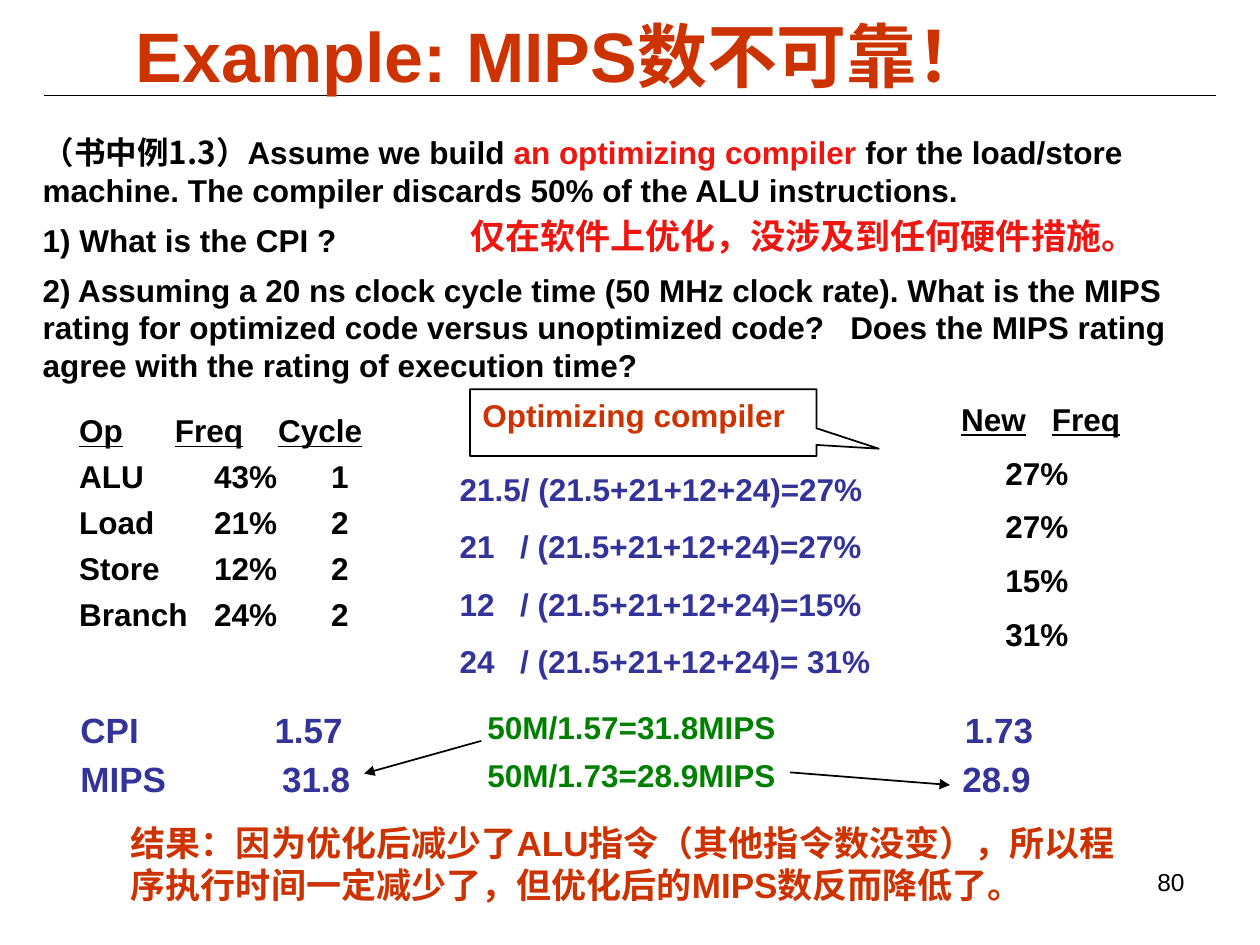
"""Build the slide showing why a MIPS rating is an unreliable measure."""
from dataclasses import dataclass
from typing import Optional

from lxml import etree
from pptx import Presentation
from pptx.dml.color import RGBColor
from pptx.enum import shapes, text
from pptx.oxml import ns
from pptx.util import Emu, Inches, Pt

BLACK = RGBColor(0x00, 0x00, 0x00)
WHITE = RGBColor(0xFF, 0xFF, 0xFF)
RUST = RGBColor(0xCC, 0x33, 0x00)
RED = RGBColor(0xED, 0x16, 0x11)
INDIGO = RGBColor(0x33, 0x33, 0x99)
GREEN = RGBColor(0x00, 0x80, 0x00)
LATIN, CHINESE = "Arial", "Noto Sans CJK SC"
COLUMNS, ROWS = 10, 7.5
LEFT, CENTER, RIGHT = text.PP_ALIGN.LEFT, text.PP_ALIGN.CENTER, text.PP_ALIGN.RIGHT
TOP, MIDDLE = text.MSO_ANCHOR.TOP, text.MSO_ANCHOR.MIDDLE


@dataclass(frozen=True)
class Span:
    """A run of text with its own look."""
    words: str
    color: Optional[RGBColor] = None
    font: str = LATIN
    underline: bool = False


@dataclass(frozen=True)
class Para:
    """A paragraph with tab stops and an indent in grid columns."""
    spans: tuple[Span, ...]
    tabs: tuple[float, ...] = ()
    indent: float = 0


@dataclass(frozen=True)
class Block:
    """A text block placed by column, row, width and height."""
    place: tuple[float, float, float, float]
    paras: tuple[Para, ...]
    size: float = 18
    color: RGBColor = BLACK
    bold: bool = True
    align: text.PP_ALIGN = LEFT
    anchor: text.MSO_ANCHOR = TOP
    before: float = 0
    leading: Optional[float] = None


@dataclass(frozen=True)
class Rule:
    """A straight line between two grid points."""
    start: tuple[float, float]
    end: tuple[float, float]
    width: float = 1
    arrow: bool = True


def plain(words: str, *tabs: float, indent: float = 0) -> Para:
    """Return a paragraph of one span."""
    return Para((Span(words),), tabs, indent)


def header(words: str, *tabs: float) -> Para:
    """Return an underlined column heading."""
    return Para((Span(words, underline=True),), tabs)


def add_tabs(paragraph, stops: tuple[float, ...]) -> None:
    """Give a paragraph left tab stops."""
    tab_list = etree.SubElement(paragraph._p.get_or_add_pPr(), ns.qn("a:tabLst"))
    for stop in stops:
        etree.SubElement(tab_list, ns.qn("a:tab"), pos=str(Inches(stop)), algn="l")


def add_span(paragraph, span: Span, block: Block) -> None:
    """Add one run to a paragraph."""
    run = paragraph.add_run()
    run.text = span.words
    run.font.size = Pt(block.size)
    run.font.bold = block.bold
    run.font.underline = span.underline
    run.font.color.rgb = span.color or block.color
    run.font.name = span.font
    etree.SubElement(run._r.get_or_add_rPr(), ns.qn("a:ea"), typeface=CHINESE)


def fill_text(box, block: Block) -> None:
    """Write the paragraphs of a block into a shape."""
    frame = box.text_frame
    frame.word_wrap = True
    frame.vertical_anchor = block.anchor
    for index, para in enumerate(block.paras):
        paragraph = frame.add_paragraph() if index else frame.paragraphs[0]
        paragraph.alignment = block.align
        if block.leading:
            paragraph.line_spacing = block.leading
        paragraph.space_before = Pt(block.before if index else 0)
        if para.indent:
            paragraph._p.get_or_add_pPr().set("marL", str(Inches(para.indent)))
        if para.tabs:
            add_tabs(paragraph, para.tabs)
        for span in para.spans:
            add_span(paragraph, span, block)


def grid(deck, *lengths: float) -> list[Emu]:
    """Turn alternating columns and rows into slide lengths."""
    units = (deck.slide_width / COLUMNS, deck.slide_height / ROWS)
    return [Emu(round(length * units[i % 2])) for i, length in enumerate(lengths)]


def add_block(deck, page, block: Block) -> None:
    """Add a text box."""
    fill_text(page.shapes.add_textbox(*grid(deck, *block.place)), block)


def add_callout(deck, page, block: Block, tip: tuple[float, float]) -> None:
    """Add a rectangular callout whose tip is a share of its size from its centre."""
    box = page.shapes.add_shape(
        shapes.MSO_SHAPE.RECTANGULAR_CALLOUT, *grid(deck, *block.place))
    box.shadow.inherit = False
    box.fill.solid()
    box.fill.fore_color.rgb = WHITE
    box.line.color.rgb = BLACK
    box.line.width = Pt(1)
    box.adjustments[0], box.adjustments[1] = tip
    fill_text(box, block)


def add_rule(deck, page, rule: Rule) -> None:
    """Add a straight line, with an arrowhead if asked for."""
    line = page.shapes.add_connector(
        shapes.MSO_CONNECTOR.STRAIGHT, *grid(deck, *rule.start, *rule.end))
    line.line.color.rgb = BLACK
    line.line.width = Pt(rule.width)
    if rule.arrow:
        etree.SubElement(line.line._get_or_add_ln(), ns.qn("a:tailEnd"), type="triangle")
    etree.SubElement(line._element.spPr, ns.qn("a:effectLst"))


TITLE = Block((0.91, 0.07, 7.09, 0.72), (plain("Example: MIPS数不可靠！"),),
              size=40, color=RUST, align=CENTER, anchor=MIDDLE)
QUESTION = Block((0.24, 1.01, 9.76, 2.09), (
    Para((Span("（"), Span("书中例1.3", font=CHINESE), Span("）Assume we build "),
          Span("an optimizing compiler", RED),
          Span(" for the load/store machine. The compiler discards 50% of the "
               "ALU instructions."))),
    plain("1) What is the CPI ?"),
    plain("2) Assuming a 20 ns clock cycle time (50 MHz clock rate). What is the MIPS "
          "rating for optimized code versus unoptimized code?\tDoes the MIPS rating "
          "agree with the rating of execution time?", 6.41)), before=6.8)
OLD_MIX = (("ALU", "43%", "1"), ("Load", "21%", "2"), ("Store", "12%", "2"),
           ("Branch", "24%", "2"))
OLD_TABLE = Block((0.53, 3.25, 2.85, 1.83), (
    header("Op\tFreq\tCycle\t", 0.76, 1.58, 2.39),
    *(plain("\t".join(row), 1.07, 2) for row in OLD_MIX)), before=6.8, leading=0.9)
NEW_TABLE = Block((7.53, 3.16, 1.75, 2.08), (
    header("New\tFreq\t", 0.72, 1.54),
    *(plain(share, indent=0.35) for share in ("27%", "27%", "15%", "31%"))),
    before=11.2, leading=0.9)
CALLOUT = Block((3.73, 3.09, 2.75, 0.53), (plain("Optimizing compiler"),), color=RUST)
SHARES = Block((3.55, 3.68, 4.32, 1.77), tuple(
    plain(f"{start}/ (21.5+21+12+24)={result}", 0.48) for start, result in (
        ("21.5", "27%"), ("21\t", "27%"), ("12\t", "15%"), ("24\t", " 31%"))),
    color=INDIGO, before=11.2)
RESULTS = Block((0.54, 5.57, 7.95, 0.84), (
    plain("CPI\t1.57\t1.73", 1.54, 7.02), plain("MIPS\t31.8\t28.9", 1.6, 7)),
    size=20, color=INDIGO, before=4)
RATINGS = Block((3.77, 5.57, 3.25, 0.78), (
    plain("50M/1.57=31.8MIPS"), plain("50M/1.73=28.9MIPS")), color=GREEN, before=5.6)
CONCLUSION = Block((0.94, 6.47, 8.12, 0.77), (
    plain("结果：因为优化后减少了ALU指令（其他指令数没变），所以程序执行时间一定减少了，"
          "但优化后的MIPS数反而降低了。"),), size=20, color=RUST)
REMARK = Block((3.22, 1.65, 6.31, 0.44), (
    Para((Span("仅在软件上优化，没涉及到任何硬件措施。", font=CHINESE),)),),
    size=20, color=RED, align=CENTER)
NUMBER = Block((7.17, 6.83, 2.33, 0.52), (plain("80"),), size=14, bold=False, align=RIGHT)
RULES = (Rule((0.35, 0.76), (9.65, 0.76), 0.75, False),
         Rule((3.82, 5.88), (2.89, 6.14)), Rule((6.27, 6.13), (7.54, 6.23)))


def main() -> None:
    """Build and save the slide."""
    deck = Presentation()
    deck.slide_width, deck.slide_height = Inches(10), Inches(7.5)
    page = deck.slides.add_slide(deck.slide_layouts[6])
    for rule in RULES:
        add_rule(deck, page, rule)
    add_callout(deck, page, CALLOUT, (0.68, 0.39))
    for block in (TITLE, QUESTION, OLD_TABLE, NEW_TABLE, RESULTS, CONCLUSION,
                  SHARES, RATINGS, REMARK, NUMBER):
        add_block(deck, page, block)
    deck.save("out.pptx")


if __name__ == "__main__":
    main()
